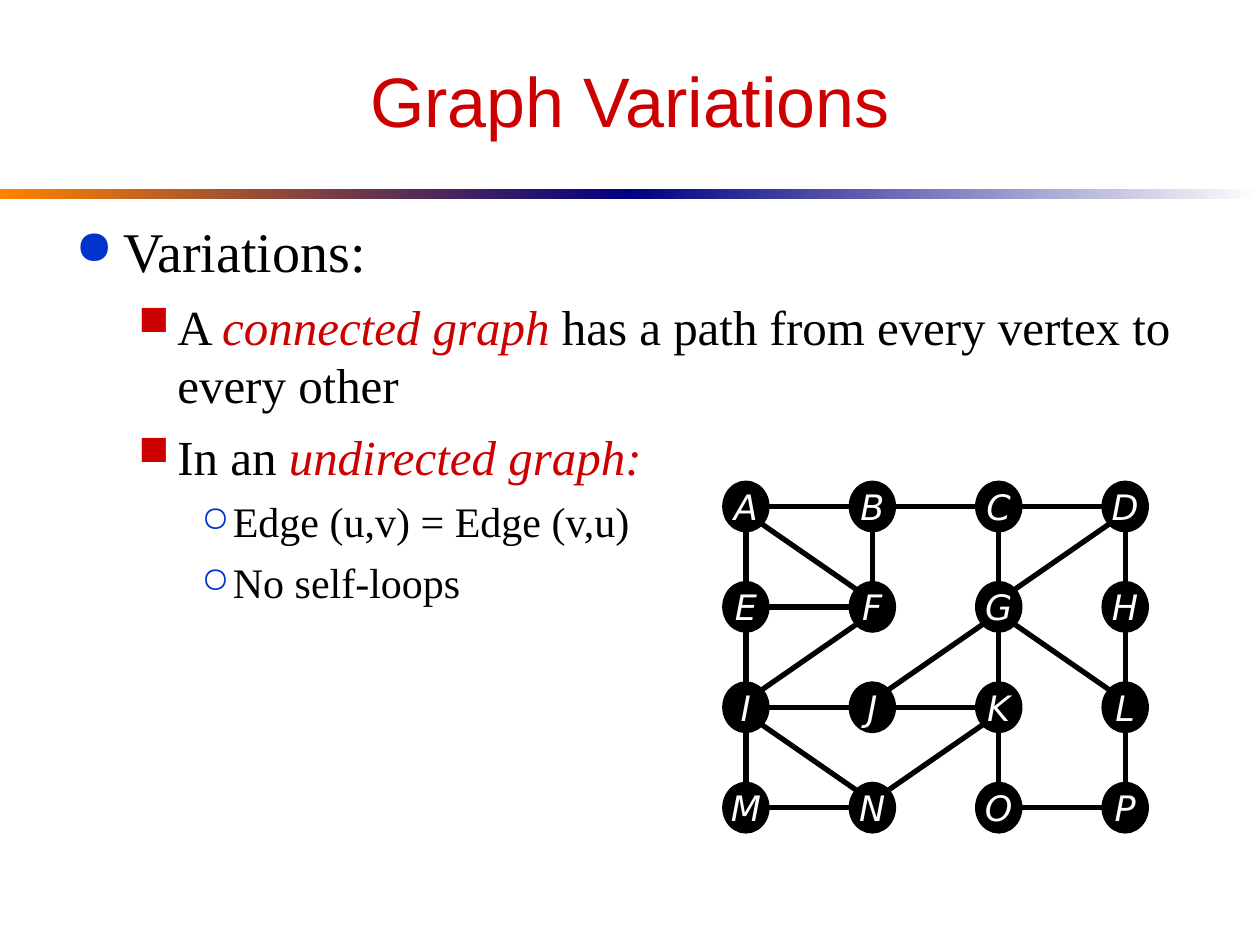
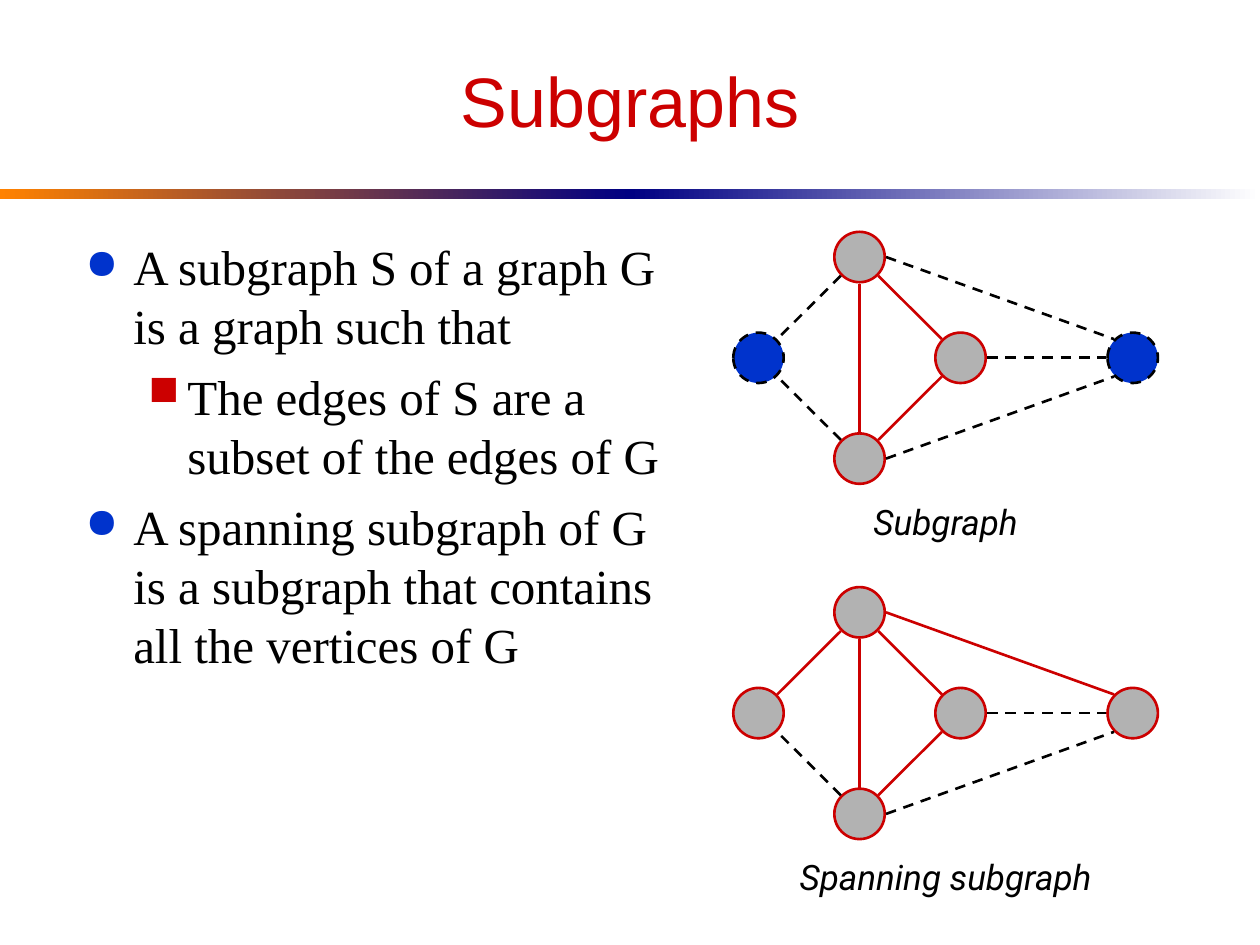
from dataclasses import dataclass
from math import sqrt

from lxml import etree
from pptx import Presentation, util as u
from pptx.dml.color import RGBColor
from pptx.enum import dml, shapes, text
from pptx.oxml import ns

COLS, ROWS = 10, 7.5
CELL = u.Inches(1)


@dataclass(frozen=True)
class Theme:
    """Colours, fonts and type sizes of the deck."""
    black: str = "000000"
    white: str = "FFFFFF"
    red: str = "CC0000"
    blue: str = "0033CC"
    gray: str = "B2B2B2"
    orange: str = "FF8200"
    navy: str = "000082"
    head: str = "Arial"
    body: str = "Times New Roman"
    node: str = "DejaVu Sans"
    note: str = "Roboto"
    title: int = 40
    big: int = 32
    mid: int = 28
    low: int = 24
    small: int = 20


T = Theme()
LEVELS = (("●", T.blue, 0.38, 0.38), ("■", T.red, 0.81, 0.31), ("○", T.blue, 1.25, 0.25))


def rgb(code):
    """Turn a hex code into a colour."""
    return RGBColor.from_string(code)


def grid(*cells):
    """Turn grid cells into slide lengths."""
    return [u.Emu(round(c * CELL)) for c in cells]


def bullet(para, level):
    """Give a paragraph the bullet and indent of its level."""
    mark, color, left, hang = LEVELS[level]
    para.level = level
    props = para._p.get_or_add_pPr()
    props.set("marL", str(round(left * CELL)))
    props.set("indent", str(-round(hang * CELL)))
    tint = etree.SubElement(props, ns.qn("a:buClr"))
    etree.SubElement(tint, ns.qn("a:srgbClr"), val=color)
    etree.SubElement(props, ns.qn("a:buSzPct"), val="85000")
    etree.SubElement(props, ns.qn("a:buChar"), char=mark)


def write(para, words, font=T.body, size=T.mid, color=T.black, italic=False, align=None, before=None):
    """Write text, with starred parts in red italics."""
    para.alignment = align
    if before is not None:
        para.space_before = u.Pt(before)
    for i, part in enumerate(words.split("*")):
        if part:
            run = para.add_run()
            run.text = part
            run.font.name, run.font.size = font, u.Pt(size)
            run.font.italic = italic or i % 2 == 1
            run.font.color.rgb = rgb(T.red if i % 2 else color)


def panel(slide, box, anchor=text.MSO_ANCHOR.TOP):
    """Add a wrapping text box and return its frame."""
    frame = slide.shapes.add_textbox(*grid(*box)).text_frame
    frame.word_wrap, frame.vertical_anchor = True, anchor
    return frame


def band(slide, box, first, last):
    """Draw a rectangle that fades from one colour to another."""
    bar = slide.shapes.add_shape(shapes.MSO_SHAPE.RECTANGLE, *grid(*box))
    bar.shadow.inherit = False
    bar.line.fill.background()
    bar.fill.gradient()
    bar.fill.gradient_angle = 0
    for stop, color, place in zip(bar.fill.gradient_stops, (first, last), (0, 1)):
        stop.color.rgb, stop.position = rgb(color), place


def start(deck, title):
    """Add a blank slide with the shared title and bands."""
    slide = deck.slides.add_slide(deck.slide_layouts[6])
    half = COLS / 2
    band(slide, (0, 1.5, half, 0.08), T.orange, T.navy)
    band(slide, (half, 1.5, half, 0.08), T.navy, T.white)
    frame = panel(slide, (0.5, 0.25, 9, 1.08), text.MSO_ANCHOR.MIDDLE)
    write(frame.paragraphs[0], title, font=T.head, size=T.title, color=T.red, align=text.PP_ALIGN.CENTER)
    return slide


def outline(slide, box, items):
    """Fill a box with bullets given as level, size and words."""
    frame = panel(slide, box)
    for i, (level, size, words) in enumerate(items):
        para = frame.add_paragraph() if i else frame.paragraphs[0]
        bullet(para, level)
        write(para, words, size=size, before=size // 4 if i else 0)


def stroke(line, color, width, dash):
    """Set the colour, width and dash of a line."""
    line.color.rgb, line.width = rgb(color), u.Pt(width)
    if dash:
        line.dash_style = dml.MSO_LINE.DASH


def vertex(slide, spot, size, fill, edge, width, dash=False, label=""):
    """Draw a vertex centred on a spot."""
    (x, y), (w, h) = spot, size
    disc = slide.shapes.add_shape(shapes.MSO_SHAPE.OVAL, *grid(x - w / 2, y - h / 2, w, h))
    disc.shadow.inherit = False
    disc.fill.solid()
    disc.fill.fore_color.rgb = rgb(fill)
    stroke(disc.line, edge, width, dash)
    if label:
        frame = disc.text_frame
        frame.word_wrap, frame.vertical_anchor = False, text.MSO_ANCHOR.MIDDLE
        write(frame.paragraphs[0], label, font=T.node, size=T.small, color=T.white,
              italic=True, align=text.PP_ALIGN.CENTER)


def sign(a, b):
    """Tell the direction from a to b on one axis."""
    return 0 if abs(b - a) < 0.01 else 1 if b > a else -1


def rim(spot, size, way):
    """Find the point just off a vertex in one of eight directions."""
    share = 1 / sqrt(2) if all(way) else 1
    return [s + d * (n / 2 + 0.01) * share for s, n, d in zip(spot, size, way)]


def link(slide, one, two, size, color, width, dash=False, way=None):
    """Draw an edge between two vertices from rim to rim."""
    out = [sign(a, b) for a, b in zip(one, two)]
    ends = rim(one, size, way or out) + rim(two, size, [-d for d in out])
    line = slide.shapes.add_connector(shapes.MSO_CONNECTOR.STRAIGHT, *grid(*ends))
    etree.SubElement(line._element.spPr, ns.qn("a:effectLst"))
    stroke(line.line, color, width, dash)


def lattice(slide, box, names, pairs):
    """Draw a square grid of lettered vertices and its edges."""
    x, y, w, h = box
    size, side = (0.335, 0.37), round(sqrt(len(names)))
    spots = {n: (x + i % side * w / (side - 1), y + i // side * h / (side - 1))
             for i, n in enumerate(names)}
    for name, spot in spots.items():
        vertex(slide, spot, size, T.black, T.black, 3, label=name)
    for one, two in pairs.split():
        link(slide, spots[one], spots[two], size, T.black, 3)


def kite(slide, box, caption, left_out, dashed):
    """Draw the five-vertex graph with its caption, dashing what is left out."""
    x, y, w, h = box
    size = (0.4, 0.4)
    shares = {"L": (0, 0.5), "T": (0.27, 0), "M": (0.54, 0.5), "B": (0.27, 1), "R": (1, 0.5)}
    spots = {n: (x + a * w, y + b * h) for n, (a, b) in shares.items()}
    for name, spot in spots.items():
        out = name in left_out
        vertex(slide, spot, size, T.blue if out else T.gray, T.black if out else T.red, 1.5, out)
    for pair in ("TL", "BL", "BM", "TM", "TB", "MR", "BR", "TR"):
        out = pair in dashed
        one, two = (spots[n] for n in pair)
        link(slide, one, two, size, T.black if out else T.red, 1.5, out,
             way=(1, 0) if pair in ("BR", "TR") else None)
    frame = panel(slide, (x - 0.51, y + 1.88, w + 1.02, 0.44))
    write(frame.paragraphs[0], caption, font=T.note, size=T.small, italic=True, align=text.PP_ALIGN.CENTER)


def variations(deck):
    """Build the slide on graph variations."""
    slide = start(deck, "Graph Variations")
    outline(slide, (0.5, 1.67, 9, 4.75), (
        (0, T.big, "Variations:"),
        (1, T.mid, "A *connected graph *has a path from every vertex to every other"),
        (1, T.mid, "In an *undirected graph:*"),
        (2, T.low, "Edge (u,v) = Edge (v,u)"),
        (2, T.low, "No self-loops")))
    lattice(slide, (5.92, 4.02, 3.01, 2.39), "ABCDEFGHIJKLMNOP",
            "AB BC CD AE AF BF CG DG DH EF EI FI GJ GK GL HL IJ JK IM IN KN KO LP MN OP")


def subgraphs(deck):
    """Build the slide on subgraphs."""
    slide = start(deck, "Subgraphs")
    outline(slide, (0.58, 1.83, 4.83, 4.75), (
        (0, T.mid, "A subgraph S of a graph G is a graph such that"),
        (1, T.mid, "The edges of S are a subset of the edges of G"),
        (0, T.mid, "A spanning subgraph of G is a subgraph that contains all the vertices of G")))
    kite(slide, (6.02, 2.04, 2.97, 1.6), "Subgraph", "LR", ("TL", "BL", "MR", "BR", "TR"))
    kite(slide, (6.02, 4.86, 2.97, 1.6), "Spanning subgraph", "", ("BL", "MR", "BR"))


def main():
    """Build and save the deck."""
    deck = Presentation()
    deck.slide_width, deck.slide_height = grid(COLS, ROWS)
    variations(deck)
    subgraphs(deck)
    deck.save("out.pptx")


if __name__ == "__main__":
    main()
